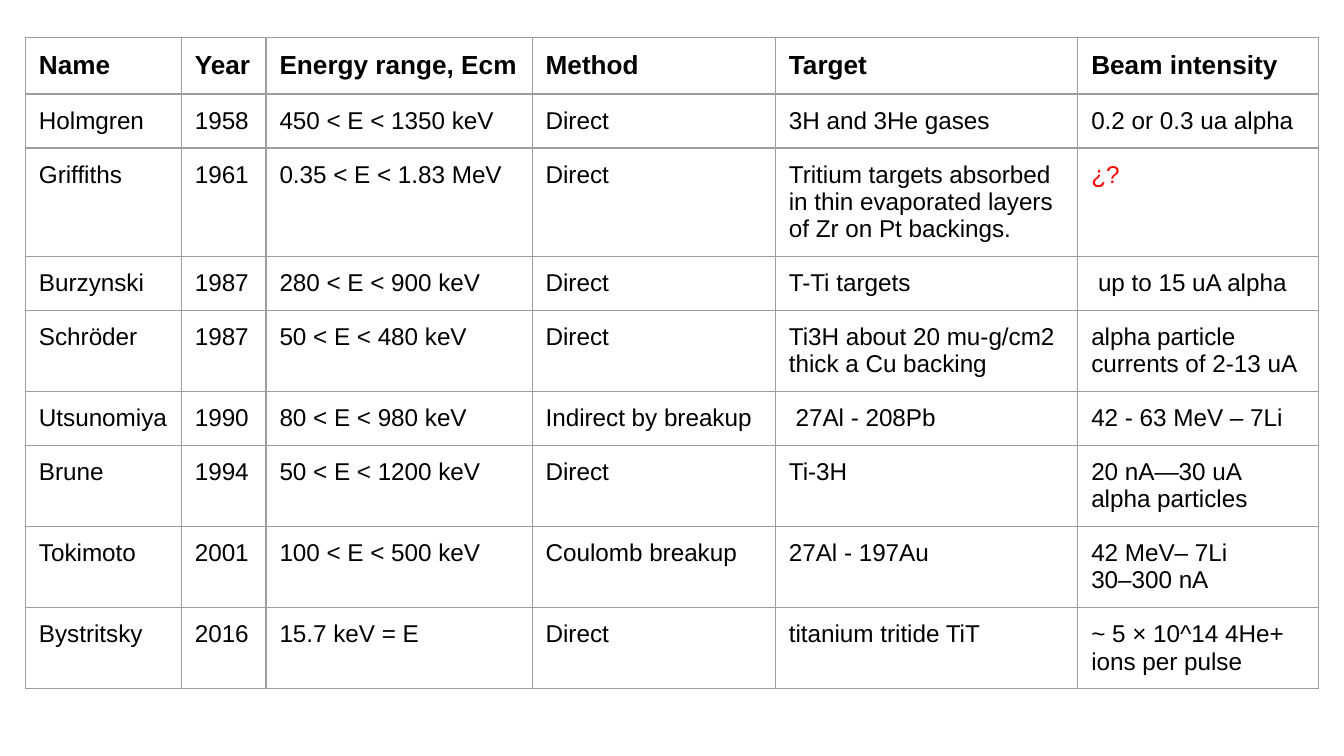
from lxml import etree
from pptx import Presentation
from pptx.dml.color import RGBColor
from pptx.oxml import ns
from pptx.util import Inches, Pt

HEAD = ["Name", "Year", "Energy range, Ecm", "Method", "Target", "Beam intensity"]
ROWS = [
    ["Holmgren", "1958", "450 < E < 1350 keV", "Direct",
     "3H and 3He gases", "0.2 or 0.3 ua alpha"],
    ["Griffiths", "1961", "0.35 < E < 1.83 MeV", "Direct",
     "Tritium targets absorbed in thin evaporated layers of Zr on Pt backings.", "¿?"],
    ["Burzynski", "1987", "280 < E < 900 keV", "Direct",
     "T-Ti targets", " up to 15 uA alpha"],
    ["Schröder", "1987", "50 < E < 480 keV", "Direct",
     "Ti3H about 20 mu-g/cm2 thick a Cu backing", "alpha particle currents of 2-13 uA"],
    ["Utsunomiya", "1990", "80 < E < 980 keV", "Indirect by breakup",
     " 27Al - 208Pb", "42 - 63 MeV – 7Li"],
    ["Brune", "1994", "50 < E < 1200 keV", "Direct",
     "Ti-3H", "20 nA—30 uA\nalpha particles"],
    ["Tokimoto", "2001", "100 < E < 500 keV", "Coulomb breakup",
     "27Al - 197Au", "42 MeV– 7Li\n30–300 nA"],
    ["Bystritsky", "2016", "15.7 keV = E", "Direct",
     "titanium tritide TiT", "~ 5 × 10^14 4He+ ions per pulse"],
]
WIDTHS = [1.16, 0.63, 1.98, 1.81, 2.25, 1.79]
HEIGHTS = [0.26, 0.38] + [0.37] * 7
UNKNOWN = "¿?"


def rgb(code):
    return RGBColor.from_string(code)


def border(cell, code, width):
    """Draw a solid line on all four sides of a cell."""
    props = cell._tc.get_or_add_tcPr()
    for side in ("lnL", "lnR", "lnT", "lnB"):
        line = etree.SubElement(props, ns.qn(f"a:{side}"), w=str(Pt(width)))
        fill = etree.SubElement(line, ns.qn("a:solidFill"))
        etree.SubElement(fill, ns.qn("a:srgbClr"), val=code)


def fill_cell(cell, words, size, bold):
    """Write one cell; unknown values stand out in red."""
    cell.text = words
    cell.margin_left = cell.margin_right = Inches(0.1)
    cell.margin_top = cell.margin_bottom = Inches(0.1)
    for para in cell.text_frame.paragraphs:
        font = para.font
        font.name, font.size, font.bold = "Arial", Pt(size), bold
        font.color.rgb = rgb("FF0000" if words == UNKNOWN else "000000")
    border(cell, "9E9E9E", 0.75)
    cell.fill.background()


def add_grid(slide, left, top):
    """Add the table of experiments."""
    data = [HEAD] + ROWS
    frame = slide.shapes.add_table(
        len(data), len(HEAD), Inches(left), Inches(top),
        Inches(sum(WIDTHS)), Inches(sum(HEIGHTS)))
    grid = frame.table
    grid.first_row = grid.horz_banding = False
    for col, width in zip(grid.columns, WIDTHS):
        col.width = Inches(width)
    for row, height, texts in zip(grid.rows, HEIGHTS, data):
        row.height = Inches(height)
        head = texts is HEAD
        for cell, words in zip(row.cells, texts):
            fill_cell(cell, words, 14 if head else 13, head)


def main():
    deck = Presentation()
    deck.slide_width = Inches(10)
    deck.slide_height = Inches(10 * 9 / 16)  # widescreen
    slide = deck.slides.add_slide(deck.slide_layouts[6])  # blank layout
    add_grid(slide, 0.19, 0.28)
    deck.save("out.pptx")


if __name__ == "__main__":
    main()
